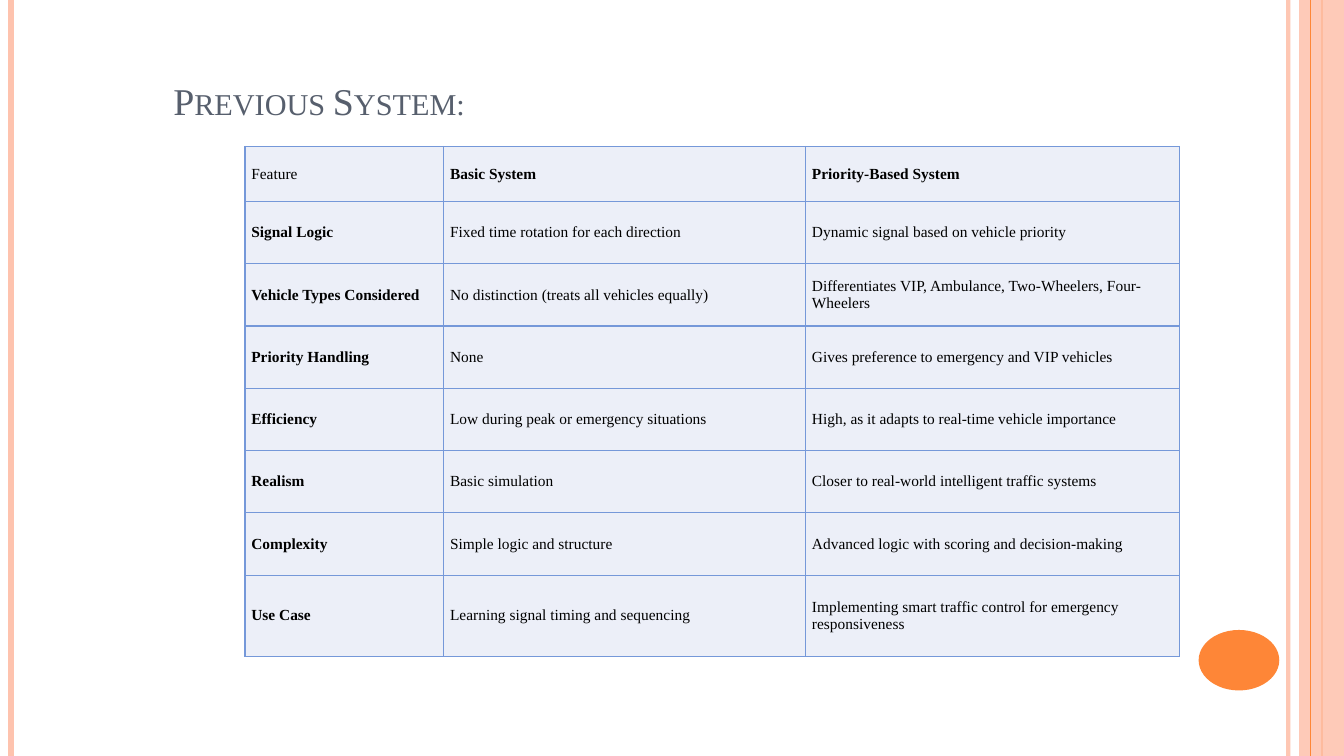
from dataclasses import dataclass

from lxml.etree import SubElement
from pptx import Presentation
from pptx.dml.color import RGBColor
from pptx.enum.shapes import MSO_CONNECTOR, MSO_SHAPE
from pptx.enum.text import MSO_ANCHOR, MSO_AUTO_SIZE, PP_ALIGN
from pptx.oxml import parse_xml
from pptx.oxml.ns import nsdecls, qn
from pptx.shapes.autoshape import Shape
from pptx.shapes.connector import Connector
from pptx.slide import Slide
from pptx.table import _Cell
from pptx.util import Pt


@dataclass(frozen=True)
class Theme:
    font: str = "Times New Roman"
    title_size: float = 27
    cell_size: float = 11
    title: str = "575F6D"
    text: str = "000000"
    peach: str = "FEC3AE"
    orange: str = "FE8637"
    cell: str = "ECEFF8"
    border: str = "7598D9"


@dataclass(frozen=True)
class Stripe:
    x: float
    width: float
    color: str
    opacity: int = 100


@dataclass(frozen=True)
class Panel:
    kind: MSO_SHAPE
    left: float
    top: float
    width: float
    height: float
    color: str
    opacity: int = 100


THEME = Theme()
SLIDE_WIDTH, SLIDE_HEIGHT = 960, 540

LEFT_STRIPE = Stripe(7.92, 4.5, THEME.peach)
INNER_STRIPE = Stripe(920.16, 3, THEME.peach, 93)
BAND_AXIS = Stripe(944, 1.5, THEME.orange)
BAND_STRIPE = Stripe(936, 0.75, THEME.orange)
BAND = Panel(MSO_SHAPE.RECTANGLE, 928, 0, 32, SLIDE_HEIGHT, THEME.peach, 87)
DISC = Panel(MSO_SHAPE.OVAL, 856.2, 450, 57.6, 43.2, THEME.orange)

COLUMN_WIDTHS = [142, 258.5, 267]
ROW_HEIGHTS = [39.4] + [44.5] * 6 + [58]
COMPARISON = [
    ("Feature", "Basic System", "Priority-Based System"),
    ("Signal Logic", "Fixed time rotation for each direction",
     "Dynamic signal based on vehicle priority"),
    ("Vehicle Types Considered", "No distinction (treats all vehicles equally)",
     "Differentiates VIP, Ambulance, Two-Wheelers, Four-Wheelers"),
    ("Priority Handling", "None", "Gives preference to emergency and VIP vehicles"),
    ("Efficiency", "Low during peak or emergency situations",
     "High, as it adapts to real-time vehicle importance"),
    ("Realism", "Basic simulation", "Closer to real-world intelligent traffic systems"),
    ("Complexity", "Simple logic and structure",
     "Advanced logic with scoring and decision-making"),
    ("Use Case", "Learning signal timing and sequencing",
     "Implementing smart traffic control for emergency responsiveness"),
]


def set_opacity(shape: Shape | Connector, percent: int) -> None:
    if percent < 100:
        for color in shape._element.spPr.iter(qn("a:srgbClr")):
            SubElement(color, qn("a:alpha")).set("val", str(percent * 1000))


def draw_stripe(slide: Slide, stripe: Stripe) -> Connector:
    line = slide.shapes.add_connector(
        MSO_CONNECTOR.STRAIGHT, Pt(stripe.x), Pt(0), Pt(stripe.x), Pt(SLIDE_HEIGHT))
    line.line.width = Pt(stripe.width)
    line.line.color.rgb = RGBColor.from_string(stripe.color)
    set_opacity(line, stripe.opacity)
    SubElement(line._element.spPr, qn("a:effectLst"))
    return line


def draw_panel(slide: Slide, panel: Panel) -> Shape:
    shape = slide.shapes.add_shape(
        panel.kind, Pt(panel.left), Pt(panel.top), Pt(panel.width), Pt(panel.height))
    shape.shadow.inherit = False
    shape.fill.solid()
    shape.fill.fore_color.rgb = RGBColor.from_string(panel.color)
    shape.line.fill.background()
    set_opacity(shape, panel.opacity)
    return shape


def draw_decoration(slide: Slide) -> None:
    draw_stripe(slide, INNER_STRIPE)
    draw_stripe(slide, LEFT_STRIPE)
    axis = draw_stripe(slide, BAND_AXIS)
    band = draw_panel(slide, BAND)
    axis.begin_connect(band, 0)
    axis.end_connect(band, 2)
    draw_stripe(slide, BAND_STRIPE)
    draw_panel(slide, DISC)


def write_title(slide: Slide, wording: str) -> None:
    title = slide.shapes.title
    title.left, title.top, title.width, title.height = Pt(116.6), Pt(54), Pt(719.3), Pt(37.4)
    frame = title.text_frame
    frame.text = wording
    frame.auto_size = MSO_AUTO_SIZE.NONE
    frame.vertical_anchor = MSO_ANCHOR.BOTTOM
    paragraph = frame.paragraphs[0]
    paragraph.alignment = PP_ALIGN.LEFT
    font = paragraph.runs[0].font
    font.name = THEME.font
    font.size = Pt(THEME.title_size)
    font.color.rgb = RGBColor.from_string(THEME.title)
    font._element.set("cap", "small")


def format_cell(cell: _Cell, wording: str, bold: bool) -> None:
    cell.text_frame.text = wording
    cell.vertical_anchor = MSO_ANCHOR.MIDDLE
    cell.margin_left = cell.margin_right = Pt(4.5)
    cell.margin_top = cell.margin_bottom = Pt(2.25)
    cell.fill.solid()
    cell.fill.fore_color.rgb = RGBColor.from_string(THEME.cell)
    font = cell.text_frame.paragraphs[0].runs[0].font
    font.name = THEME.font
    font.size = Pt(THEME.cell_size)
    font.bold = bold
    font.color.rgb = RGBColor.from_string(THEME.text)
    properties = cell._tc.get_or_add_tcPr()
    for position, side in enumerate(("lnL", "lnR", "lnT", "lnB")):
        properties.insert(position, parse_xml(
            f'<a:{side} {nsdecls("a")} w="{Pt(1)}"><a:solidFill>'
            f'<a:srgbClr val="{THEME.border}"/></a:solidFill></a:{side}>'))


def draw_comparison(slide: Slide) -> None:
    table = slide.shapes.add_table(
        len(ROW_HEIGHTS), len(COLUMN_WIDTHS), Pt(175), Pt(104.6),
        Pt(sum(COLUMN_WIDTHS)), Pt(sum(ROW_HEIGHTS))).table
    table.first_row = False
    table.horz_banding = False
    for column, width in zip(table.columns, COLUMN_WIDTHS):
        column.width = Pt(width)
    for row, height in zip(table.rows, ROW_HEIGHTS):
        row.height = Pt(height)
    for row_index, entries in enumerate(COMPARISON):
        for column_index, wording in enumerate(entries):
            is_heading = (row_index == 0) != (column_index == 0)
            format_cell(table.cell(row_index, column_index), wording, is_heading)


def main() -> None:
    presentation = Presentation()
    presentation.slide_width = Pt(SLIDE_WIDTH)
    presentation.slide_height = Pt(SLIDE_HEIGHT)
    slide = presentation.slides.add_slide(presentation.slide_layouts[5])
    draw_decoration(slide)
    write_title(slide, "Previous System:")
    draw_comparison(slide)
    presentation.save("out.pptx")


if __name__ == "__main__":
    main()
